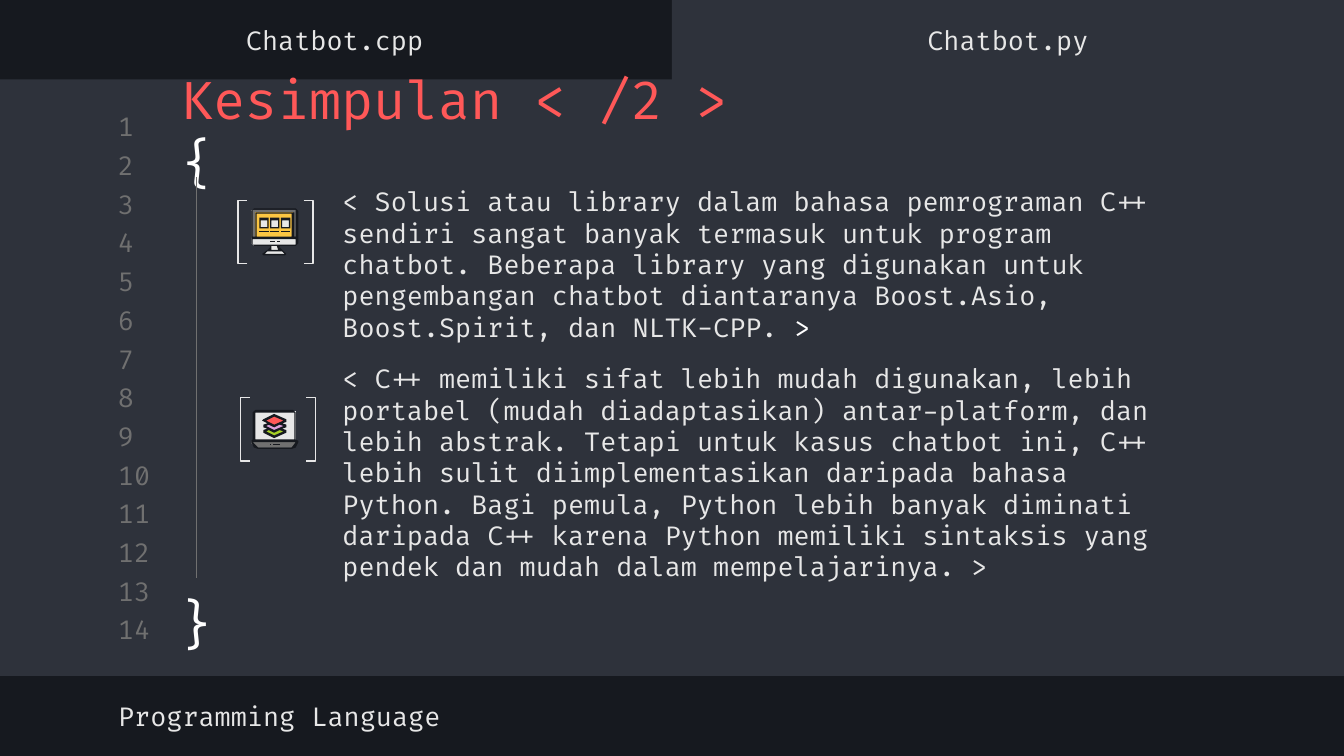
from pptx import Presentation
from pptx.dml.color import RGBColor
from pptx.enum.shapes import MSO_CONNECTOR as Connector, MSO_SHAPE as Preset
from pptx.enum.text import MSO_ANCHOR as Anchor, PP_ALIGN as Align
from pptx.oxml.ns import qn
from pptx.util import Inches, Pt
from lxml.etree import SubElement

FONT = "Fira Code"
DARK, PANEL, GREY, LIGHT = "16191F", "2E323B", "707070", "E7E7E7"
WHITE, RED, YELLOW, GREEN, PURPLE = "FFFFFF", "FF5858", "FCC642", "A5CF27", "DBA0DB"

CPP_LIBRARIES = (
    "< Solusi atau library dalam bahasa pemrograman C++ sendiri sangat banyak "
    "termasuk untuk program chatbot. Beberapa library yang digunakan untuk "
    "pengembangan chatbot diantaranya Boost.Asio, Boost.Spirit, dan NLTK-CPP. "
)
CPP_VERSUS_PYTHON = (
    "< C++ memiliki sifat lebih mudah digunakan, lebih portabel (mudah "
    "diadaptasikan) antar-platform, dan lebih abstrak. Tetapi untuk kasus chatbot "
    "ini, C++ lebih sulit diimplementasikan daripada bahasa Python. Bagi pemula, "
    "Python lebih banyak diminati daripada C++ karena Python memiliki sintaksis "
    "yang pendek dan mudah dalam mempelajarinya. >"
)


def rgb(hex_code):
    """Turn a hex string into a colour."""
    return RGBColor.from_string(hex_code)


def paint(shape, fill):
    """Give a shape a plain fill without line or shadow."""
    shape.shadow.inherit = False
    shape.fill.solid()
    shape.fill.fore_color.rgb = rgb(fill)
    shape.line.fill.background()


def add_panel(slide, left, top, width, height):
    """Add a rectangle of the editor background."""
    panel = slide.shapes.add_shape(
        Preset.RECTANGLE, Inches(left), Inches(top), Inches(width), Inches(height))
    paint(panel, PANEL)


def add_text(slide, left, top, width, height, runs, size=14,
             align=Align.LEFT, anchor=Anchor.MIDDLE):
    """Add a wrapped text box from (text, colour) runs."""
    box = slide.shapes.add_textbox(
        Inches(left), Inches(top), Inches(width), Inches(height))
    frame = box.text_frame
    frame.word_wrap = True
    frame.vertical_anchor = anchor
    frame.margin_left = frame.margin_right = Inches(0.1)
    frame.margin_top = frame.margin_bottom = Inches(0.1)
    paragraph = frame.paragraphs[0]
    paragraph.alignment = align
    for text, color in runs:
        run = paragraph.add_run()
        run.text = text
        run.font.name = FONT
        run.font.size = Pt(size)
        run.font.color.rgb = rgb(color)


def add_guide(slide, x, top, bottom):
    """Add a thin vertical indent guide."""
    guide = slide.shapes.add_connector(
        Connector.STRAIGHT, Inches(x), Inches(top), Inches(x), Inches(bottom))
    guide.line.color.rgb = rgb(GREY)
    guide.line.width = Pt(0.75)
    SubElement(guide._element.spPr, qn("a:effectLst"))


def add_brackets(slide, left, top):
    """Add the pair of square brackets around an icon."""
    pair = slide.shapes.add_group_shape()
    for preset, x in ((Preset.RIGHT_BRACKET, left + 0.49), (Preset.LEFT_BRACKET, left)):
        bracket = pair.shapes.add_shape(
            preset, Inches(x), Inches(top), Inches(0.07), Inches(0.47))
        bracket.adjustments[0] = 0
        bracket.shadow.inherit = False
        bracket.fill.background()
        bracket.line.color.rgb = rgb(LIGHT)
        bracket.line.width = Pt(0.75)


def rect(left, top, right, bottom):
    """Return the corners of a rectangular contour."""
    return [(left, top), (right, top), (right, bottom), (left, bottom)]


def rhombus(top, half_height):
    """Return the contour of one sheet of the stack."""
    middle = top + half_height
    return [(2.04, top), (2.12, middle), (2.04, middle + half_height), (1.96, middle)]


def add_part(icon, fill, *contours):
    """Add one outline to an icon; inner contours become holes."""
    outlines = [[(Inches(x), Inches(y)) for x, y in contour] for contour in contours]
    builder = icon.shapes.build_freeform(*outlines[0][0])
    for number, outline in enumerate(outlines):
        if number:
            builder.move_to(*outline[0])
        builder.add_line_segments(outline[1:], close=True)
    paint(builder.convert_to_shape(), fill)


def add_monitor(slide):
    """Draw the desktop monitor with three windows."""
    icon = slide.shapes.add_group_shape()
    add_part(icon, GREY, rect(1.87, 1.56, 2.21, 1.77))
    add_part(icon, YELLOW, rect(1.9, 1.58, 2.18, 1.77))
    add_part(icon, LIGHT, [
        (1.87, 1.77), (2.21, 1.77), (2.21, 1.81), (2.2, 1.83), (2.07, 1.83),
        (2.1, 1.87), (2.12, 1.89), (1.96, 1.89), (1.99, 1.87), (2.02, 1.83),
        (1.89, 1.83), (1.87, 1.81)])
    add_part(
        icon, DARK,
        [(1.89, 1.55), (2.2, 1.55), (2.22, 1.57), (2.22, 1.81), (2.2, 1.83),
         (2.08, 1.83), (2.08, 1.84), (2.1, 1.86), (2.13, 1.89), (2.12, 1.9),
         (1.96, 1.9), (1.95, 1.89), (1.99, 1.86), (2.01, 1.84), (2.01, 1.83),
         (1.89, 1.83), (1.87, 1.81), (1.87, 1.57)],
        rect(1.91, 1.59, 2.17, 1.76),
        [(1.88, 1.56), (2.2, 1.56), (2.2, 1.76), (2.19, 1.76), (2.19, 1.58),
         (1.9, 1.58), (1.9, 1.76), (1.88, 1.76)],
        rect(1.88, 1.78, 2.2, 1.82),
        [(2.02, 1.83), (2.06, 1.83), (2.07, 1.86), (2.02, 1.86)],
        [(1.99, 1.87), (2.1, 1.87), (2.12, 1.89), (1.97, 1.89)])
    for column in range(3):
        left = 1.93 + 0.08 * column
        glass = rect(left + 0.01, 1.64, left + 0.06, 1.69)
        add_part(icon, LIGHT, glass)
        add_part(icon, DARK, rect(left, 1.62, left + 0.07, 1.7), glass)
        add_part(icon, DARK, rect(left, 1.72, left + 0.07, 1.73))
    for left, right in ((2.01, 2.05), (2.06, 2.08)):
        add_part(icon, DARK, rect(left, 1.79, right, 1.8))


def add_laptop(slide):
    """Draw the laptop with a stack of sheets."""
    icon = slide.shapes.add_group_shape()
    add_part(icon, LIGHT, rect(1.89, 3.06, 2.2, 3.28))
    for fill, top in ((GREEN, 3.17), (PURPLE, 3.13), (RED, 3.09)):
        add_part(icon, fill, rhombus(top, 0.04))
    add_part(icon, GREY, [(1.87, 3.28), (2.21, 3.28), (2.21, 3.3), (2.17, 3.33),
                          (1.92, 3.33), (1.87, 3.3)])
    add_part(
        icon, DARK,
        [(1.9, 3.05), (2.18, 3.05), (2.2, 3.07), (2.2, 3.27), (2.22, 3.28),
         (2.22, 3.29), (2.2, 3.33), (2.17, 3.34), (1.92, 3.34), (1.89, 3.33),
         (1.87, 3.29), (1.87, 3.28), (1.88, 3.27), (1.88, 3.07)],
        rect(1.9, 3.07, 2.19, 3.27),
        [(1.88, 3.29), (2.2, 3.29), (2.17, 3.33), (1.92, 3.33)])
    for left, right in ((2.01, 2.02), (2.03, 2.08)):
        add_part(icon, DARK, rect(left, 3.3, right, 3.31))
    lower_sheets = [
        [(2, y), (2.04, y + 0.02), (2.08, y), (2.11, y + 0.01),
         (2.04, y + 0.04), (1.98, y + 0.01)] for y in (3.16, 3.2)]
    add_part(
        icon, DARK,
        [(2.04, 3.08), (2.13, 3.12), (2.13, 3.14), (2.1, 3.15), (2.13, 3.16),
         (2.13, 3.18), (2.1, 3.19), (2.13, 3.2), (2.13, 3.22), (2.04, 3.26),
         (1.96, 3.22), (1.96, 3.2), (1.99, 3.19), (1.96, 3.18), (1.96, 3.16),
         (1.99, 3.15), (1.95, 3.13), (1.96, 3.12)],
        [(2.04, 3.1), (2.11, 3.13), (2.04, 3.16), (1.98, 3.13)],
        *lower_sheets)


def main():
    """Build the slide and save it."""
    deck = Presentation()
    deck.slide_width = Inches(10)
    deck.slide_height = deck.slide_width * 9 // 16
    slide = deck.slides.add_slide(deck.slide_layouts[6])
    slide.background.fill.solid()
    slide.background.fill.fore_color.rgb = rgb(DARK)

    add_panel(slide, 0, 0.59, 10, 4.44)
    add_panel(slide, 5, 0, 5, 0.65)
    for row in range(14):
        add_text(slide, 0.78, 0.82 + 0.288 * row, 0.47, 0.24, [(str(row + 1), GREY)])

    add_text(slide, 2.45, 1.58, 6.5, 0.77, [(CPP_LIBRARIES, LIGHT), (">", WHITE)])
    add_text(slide, 2.45, 3.13, 6.5, 0.77, [(CPP_VERSUS_PYTHON, LIGHT)])
    add_text(slide, 1.25, 0.68, 4.44, 0.58,
             [("Kesimpulan < /2 > ", RED), ("{", WHITE)], size=28)
    add_monitor(slide)
    add_laptop(slide)

    add_text(slide, 0.78, 5.13, 5.32, 0.39, [("Programming Language", LIGHT)])
    for left, tab in ((-0.01, "Chatbot.cpp"), (5, "Chatbot.py")):
        add_text(slide, left, 0.1, 5, 0.39, [(tab, LIGHT)], align=Align.CENTER)

    add_brackets(slide, 1.77, 1.49)
    add_brackets(slide, 1.79, 2.96)
    add_guide(slide, 1.46, 1.98, 4.3)
    add_guide(slide, 1.46, 1.32, 2.12)
    add_text(slide, 1.19, 4.3, 0.55, 0.67, [("}", WHITE)], size=28,
             align=Align.CENTER, anchor=Anchor.TOP)
    deck.save("out.pptx")


if __name__ == "__main__":
    main()
